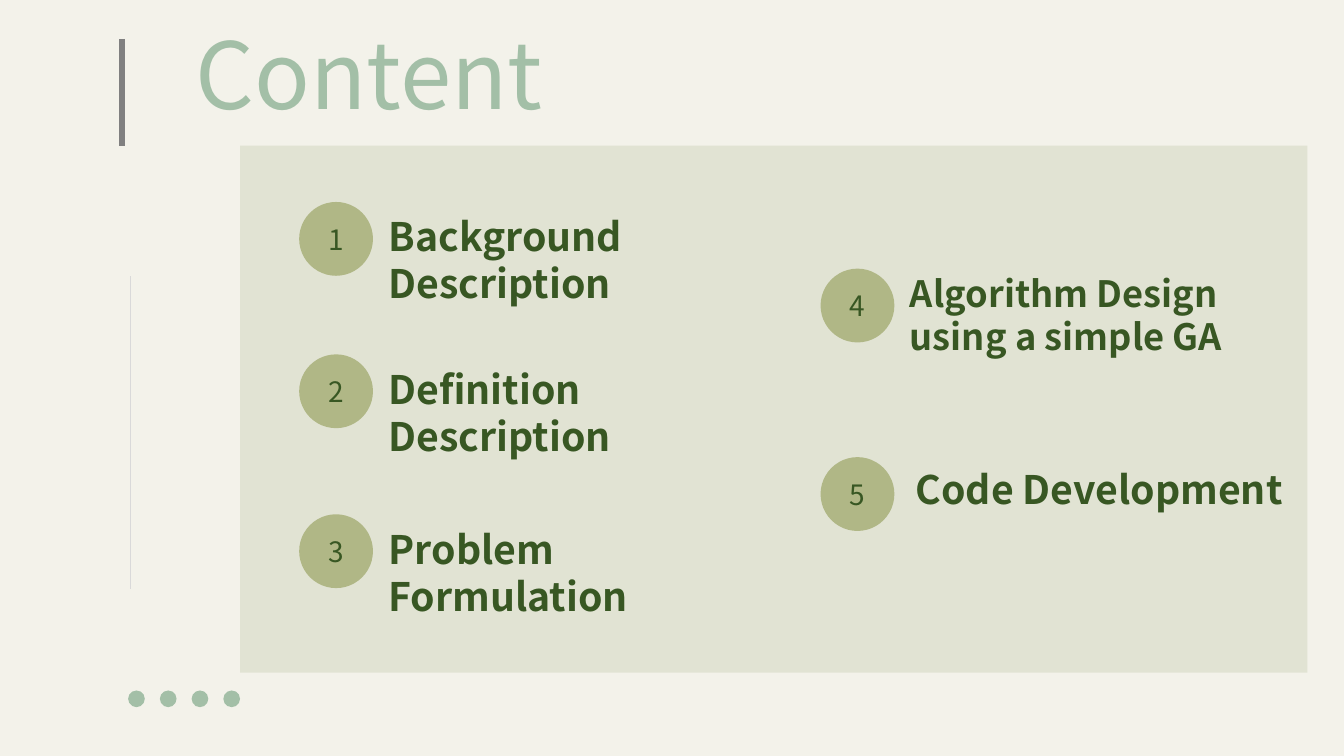
from lxml import etree
from pptx import Presentation
from pptx.dml.color import RGBColor
from pptx.enum.shapes import MSO_CONNECTOR, MSO_SHAPE
from pptx.enum.text import MSO_ANCHOR, MSO_AUTO_SIZE, PP_ALIGN
from pptx.oxml.ns import qn
from pptx.util import Cm, Pt

RECTANGLE, OVAL = MSO_SHAPE.RECTANGLE, MSO_SHAPE.OVAL
STRAIGHT = MSO_CONNECTOR.STRAIGHT
LEFT, CENTER = PP_ALIGN.LEFT, PP_ALIGN.CENTER
TOP, MIDDLE = MSO_ANCHOR.TOP, MSO_ANCHOR.MIDDLE
NO_AUTOFIT = MSO_AUTO_SIZE.NONE

FONT = "Noto Sans CJK SC"
COLORS = {
    "background": "F3F2EA",
    "panel": "E1E3D3",
    "badge": "B0B786",
    "text": "385723",
    "accent": "A3BFA7",
    "bar": "808080",
    "hairline": "D9D9D9",
}
BADGE_SIZE = 1.86

# Number, text, offset of the badge in the panel, offset of the text from
# the badge, text width and font size; lengths in cm
ITEMS = [
    ("1", "Background Description", (1.49, 1.42), (2.01, 0.14), 10.49, 28),
    ("2", "Definition Description", (1.49, 5.26), (2.01, 0.14), 10.03, 28),
    ("3", "Problem Formulation", (1.49, 9.29), (2.01, 0.14), 9.55, 28),
    ("4", "Algorithm Design using a simple GA", (14.63, 3.1), (2.0, -0.07), 10.34, 25.9),
    ("5", "Code Development", (14.63, 7.85), (2.15, 0.09), 10.8, 28),
]


def color(name):
    return RGBColor.from_string(COLORS[name])


def write_text(shape, text, size, color_name="text", bold=False, align=LEFT, anchor=TOP):
    frame = shape.text_frame
    frame.word_wrap = True
    frame.auto_size = NO_AUTOFIT
    frame.vertical_anchor = anchor
    paragraph = frame.paragraphs[0]
    paragraph.alignment = align
    run = paragraph.add_run()
    run.text = text
    run.font.name = FONT
    run.font.size = Pt(size)
    run.font.bold = bold
    run.font.color.rgb = color(color_name)


def add_filled(shapes, kind, left, top, width, height, color_name):
    shape = shapes.add_shape(kind, Cm(left), Cm(top), Cm(width), Cm(height))
    shape.shadow.inherit = False
    shape.fill.solid()
    shape.fill.fore_color.rgb = color(color_name)
    shape.line.fill.background()
    return shape


def add_vertical_line(slide, x, top, bottom, color_name, width):
    line = slide.shapes.add_connector(STRAIGHT, Cm(x), Cm(top), Cm(x), Cm(bottom))
    line.line.color.rgb = color(color_name)
    line.line.width = Pt(width)
    etree.SubElement(line._element.spPr, qn("a:effectLst"))


def add_title(slide, left, top, width, height):
    title = slide.shapes.title
    title.left, title.top, title.width, title.height = (
        Cm(left), Cm(top), Cm(width), Cm(height))
    write_text(title, "Content", 66, color_name="accent", align=CENTER, anchor=MIDDLE)


def add_item(slide, left, top, number, text, text_offset, text_width, size):
    shapes = slide.shapes.add_group_shape().shapes
    badge = add_filled(shapes, OVAL, left, top, BADGE_SIZE, BADGE_SIZE, "badge")
    write_text(badge, number, 20, align=CENTER, anchor=MIDDLE)
    label = shapes.add_textbox(Cm(left + text_offset[0]), Cm(top + text_offset[1]),
                               Cm(text_width), Cm(BADGE_SIZE))
    write_text(label, text, size, bold=True)


def add_content_panel(slide, left, top, width, height):
    add_filled(slide.shapes, RECTANGLE, left, top, width, height, "panel")
    for number, text, (dx, dy), text_offset, text_width, size in ITEMS:
        add_item(slide, left + dx, top + dy, number, text, text_offset, text_width, size)


def add_dots(slide, left, top, size, pitch, count=4):
    shapes = slide.shapes.add_group_shape().shapes
    for index in range(count):
        add_filled(shapes, OVAL, left + index * pitch, top, size, size, "accent")


def main():
    presentation = Presentation()
    presentation.slide_width, presentation.slide_height = Cm(33.87), Cm(19.05)
    slide = presentation.slides.add_slide(presentation.slide_layouts[5])
    slide.background.fill.solid()
    slide.background.fill.fore_color.rgb = color("background")

    # Heading and numbered topics
    add_title(slide, 3.51, 0.17, 11.58, 3.3)
    add_content_panel(slide, 6.05, 3.67, 26.9, 13.28)

    # Decoration on the left
    add_vertical_line(slide, 3.07, 0.98, 3.67, "bar", 4.5)
    add_vertical_line(slide, 3.28, 6.96, 14.83, "hairline", 0.25)
    add_dots(slide, 3.23, 17.4, 0.42, 0.8)

    presentation.save("out.pptx")


if __name__ == "__main__":
    main()
